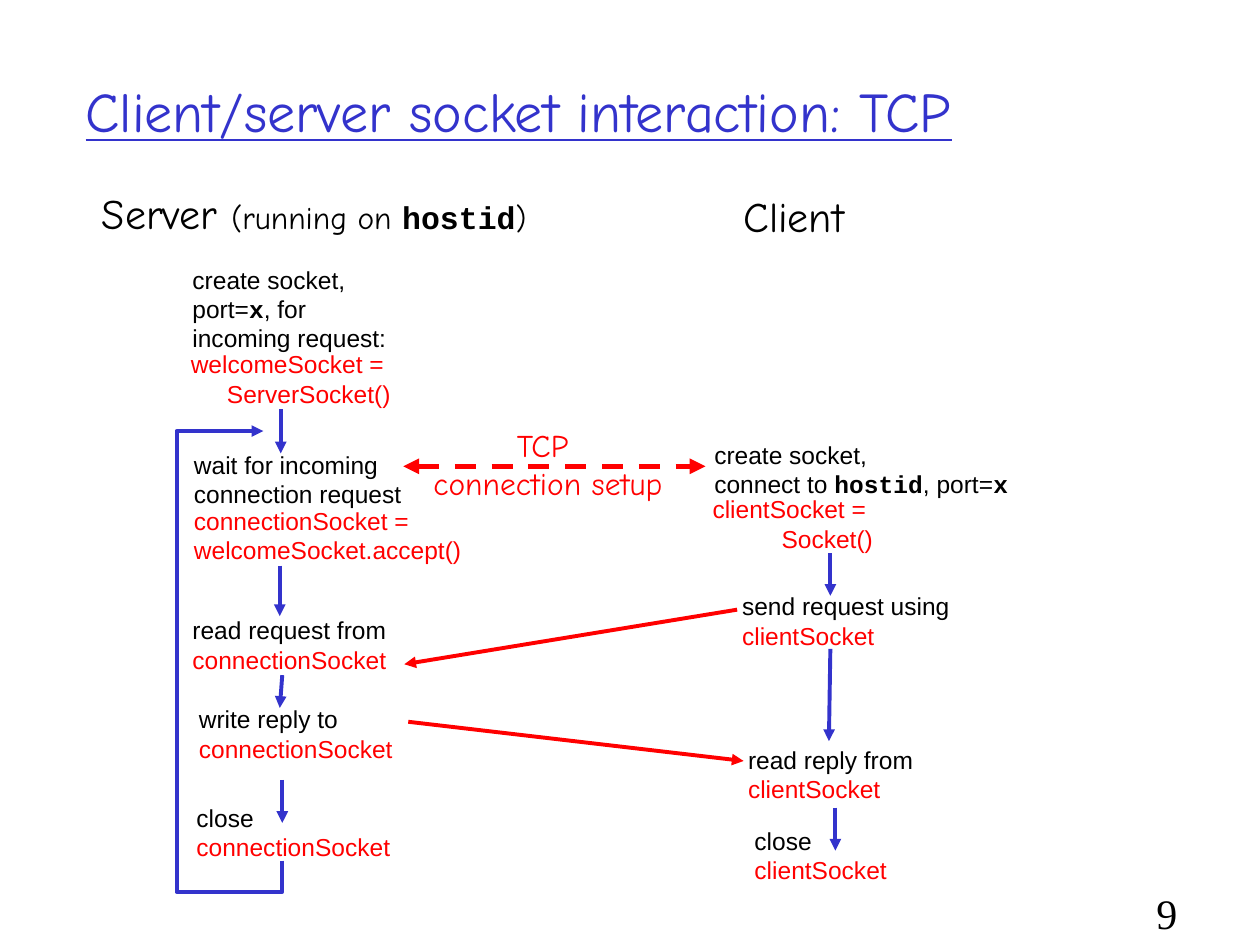
from dataclasses import dataclass

from pptx import Presentation
from pptx.dml.color import RGBColor
from pptx.enum.dml import MSO_LINE
from pptx.enum.shapes import MSO_CONNECTOR
from pptx.enum.text import MSO_ANCHOR, MSO_AUTO_SIZE, PP_ALIGN
from pptx.oxml.ns import qn
from pptx.util import Cm, Pt
from lxml.etree import SubElement

BLACK = RGBColor(0x00, 0x00, 0x00)
RED = RGBColor(0xFF, 0x00, 0x00)
BLUE = RGBColor(0x33, 0x33, 0xCC)

BODY_FONT = "Arial"
HAND_FONT = "Comic Neue"
CODE_FONT = "Courier New"
TWO_LINES = 1.45  # height of a two-line label, cm


@dataclass(frozen=True)
class Line:
    """One line of text; parts between backticks are set as code."""
    text: str
    color: RGBColor = BLACK


@dataclass(frozen=True)
class Label:
    left: float
    top: float
    width: float
    lines: tuple[Line, ...]
    height: float = TWO_LINES
    align: PP_ALIGN = PP_ALIGN.LEFT
    font: str = BODY_FONT
    size: int = 14


@dataclass(frozen=True)
class Arrow:
    start: tuple[float, float]
    end: tuple[float, float]
    color: RGBColor = BLUE


def action(left: float, top: float, width: float, text: str, socket: str) -> Label:
    """A step in black above the socket it uses in red."""
    return Label(left, top, width, (Line(text), Line(socket, RED)))


def assignment(left: float, top: float, width: float, target: str, call: str) -> Label:
    """A red, right-aligned socket creation."""
    return Label(left, top, width, (Line(target, RED), Line(call, RED)),
                 align=PP_ALIGN.RIGHT)


LABELS = (
    # Server
    Label(3.63, 5.21, 4.42, (Line("create socket,"), Line("port=`x`, for"),
                             Line("incoming request:")), height=2.03),
    assignment(3.58, 6.91, 4.55, "welcomeSocket = ", "ServerSocket()"),
    Label(3.66, 8.94, 4.8, (Line("wait for incoming"), Line("connection request"))),
    Label(3.66, 10.06, 6.2, (Line("connectionSocket =", RED),
                             Line("welcomeSocket.accept()", RED))),
    action(3.63, 12.27, 4.42, "read request from", "connectionSocket"),
    action(3.76, 14.07, 4.42, "write reply to", "connectionSocket"),
    action(3.71, 16.05, 4.42, "close", "connectionSocket"),
    # Client
    Label(14.15, 8.74, 6.43, (Line("create socket,"),
                              Line("connect to `hostid`, port=`x`"))),
    assignment(13.82, 9.83, 4.03, "clientSocket = ", "Socket()"),
    action(14.71, 11.79, 4.7, "send request using", "clientSocket"),
    action(14.83, 14.88, 3.84, "read reply from", "clientSocket"),
    action(14.96, 16.51, 3.18, "close", "clientSocket"),
    # Column heading and connection setup
    Label(14.73, 3.71, 2.54, (Line("Client"),), 1.27, PP_ALIGN.CENTER, HAND_FONT, 24),
    Label(8.48, 8.46, 5.13, (Line("TCP ", RED), Line("connection setup", RED)),
          1.78, PP_ALIGN.CENTER, HAND_FONT, 18),
)
SERVER_HEADING = Label(1.8, 3.66, 9.07, (Line("(running on `hostid`)"),),
                       1.27, PP_ALIGN.CENTER, HAND_FONT, 18)

ARROWS = (
    # Server steps
    Arrow((5.66, 8.25), (5.66, 9.14)),
    Arrow((5.64, 11.4), (5.64, 12.42)),
    Arrow((5.69, 13.61), (5.64, 14.27)),
    Arrow((5.69, 15.72), (5.69, 16.59)),
    # Client steps
    Arrow((16.74, 11.15), (16.74, 12.01)),
    Arrow((16.74, 13.08), (16.71, 14.94)),
    Arrow((16.84, 16.28), (16.84, 17.15)),
    # Request and reply
    Arrow((14.86, 12.29), (8.15, 13.39), RED),
    Arrow((8.23, 14.55), (14.99, 15.34), RED),
)
CONNECTION_SETUP = Arrow((8.13, 9.4), (14.22, 9.4), RED)
SERVER_LOOP = ((5.69, 17.35), (5.69, 17.98), (3.56, 17.98), (3.56, 8.69), (5.31, 8.69))


def add_runs(paragraph, text: str) -> None:
    for index, part in enumerate(text.split("`")):
        if part:
            run = paragraph.add_run()
            run.text = part
            if index % 2:
                run.font.name = CODE_FONT
                run.font.bold = True


def add_label(slide, label: Label, lead: str = "", lead_size: int = 24) -> None:
    shape = slide.shapes.add_textbox(Cm(label.left), Cm(label.top),
                                     Cm(label.width), Cm(label.height))
    frame = shape.text_frame
    frame.word_wrap = False
    frame.auto_size = MSO_AUTO_SIZE.SHAPE_TO_FIT_TEXT
    frame.vertical_anchor = MSO_ANCHOR.MIDDLE
    for index, line in enumerate(label.lines):
        paragraph = frame.add_paragraph() if index else frame.paragraphs[0]
        paragraph.alignment = label.align
        paragraph.font.name = label.font
        paragraph.font.size = Pt(label.size)
        paragraph.font.color.rgb = line.color
        if lead and index == 0:
            run = paragraph.add_run()
            run.text = lead
            run.font.size = Pt(lead_size)
        add_runs(paragraph, line.text)


def style_line(shape, color: RGBColor, width: float, ends: tuple[str, ...]) -> None:
    """Colour a line and put triangles on its ends, headEnd before tailEnd."""
    shape.line.color.rgb = color
    shape.line.width = Pt(width)
    outline = shape.line._get_or_add_ln()
    for end in ends:
        SubElement(outline, qn(f"a:{end}"), type="triangle")


def add_arrow(slide, arrow: Arrow, width: float = 2.25,
              ends: tuple[str, ...] = ("tailEnd",), dash=None) -> None:
    connector = slide.shapes.add_connector(
        MSO_CONNECTOR.STRAIGHT, *(Cm(value) for value in arrow.start + arrow.end))
    if dash is not None:
        connector.line.dash_style = dash
    style_line(connector, arrow.color, width, ends)
    SubElement(connector._element.spPr, qn("a:effectLst"))


def add_loop(slide, points: tuple[tuple[float, float], ...]) -> None:
    corners = [(Cm(x), Cm(y)) for x, y in points]
    builder = slide.shapes.build_freeform(*corners[0])
    builder.add_line_segments(corners[1:], close=False)
    shape = builder.convert_to_shape()
    shape.fill.background()
    style_line(shape, BLUE, 2.25, ("tailEnd",))
    shape.shadow.inherit = False


def add_title(slide, text: str) -> None:
    title = slide.shapes.title
    title.left, title.top, title.width, title.height = (
        Cm(1.47), Cm(0.64), Cm(21.59), Cm(3.18))
    title.text_frame.text = text
    title.text_frame.vertical_anchor = MSO_ANCHOR.MIDDLE
    paragraph = title.text_frame.paragraphs[0]
    paragraph.alignment = PP_ALIGN.LEFT
    paragraph.font.name = HAND_FONT
    paragraph.font.size = Pt(32)
    paragraph.font.underline = True
    paragraph.font.color.rgb = BLUE


def main() -> None:
    presentation = Presentation()
    presentation.slide_width, presentation.slide_height = Cm(25.4), Cm(19.05)
    slide = presentation.slides.add_slide(presentation.slide_layouts[5])

    add_title(slide, "Client/server socket interaction: TCP")
    add_label(slide, SERVER_HEADING, lead="Server ")
    for label in LABELS:
        add_label(slide, label)
    for arrow in ARROWS:
        add_arrow(slide, arrow)
    add_arrow(slide, CONNECTION_SETUP, 3, ("headEnd", "tailEnd"), MSO_LINE.DASH)
    add_loop(slide, SERVER_LOOP)

    # Page number
    add_label(slide, Label(23.06, 17.78, 1.24, (Line("9"),), 1.24,
                           font="Times New Roman", size=24))
    presentation.save("out.pptx")


if __name__ == "__main__":
    main()
